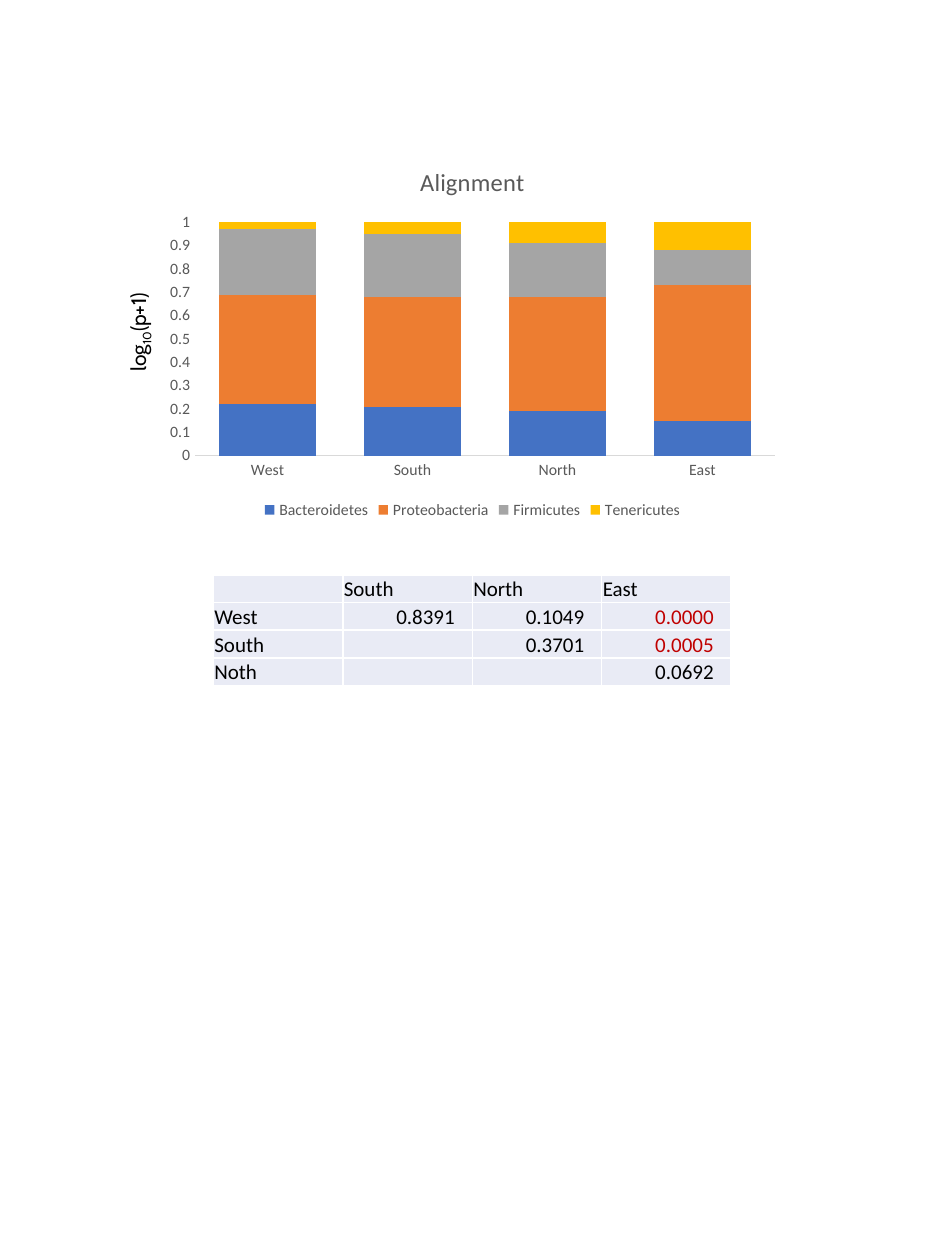
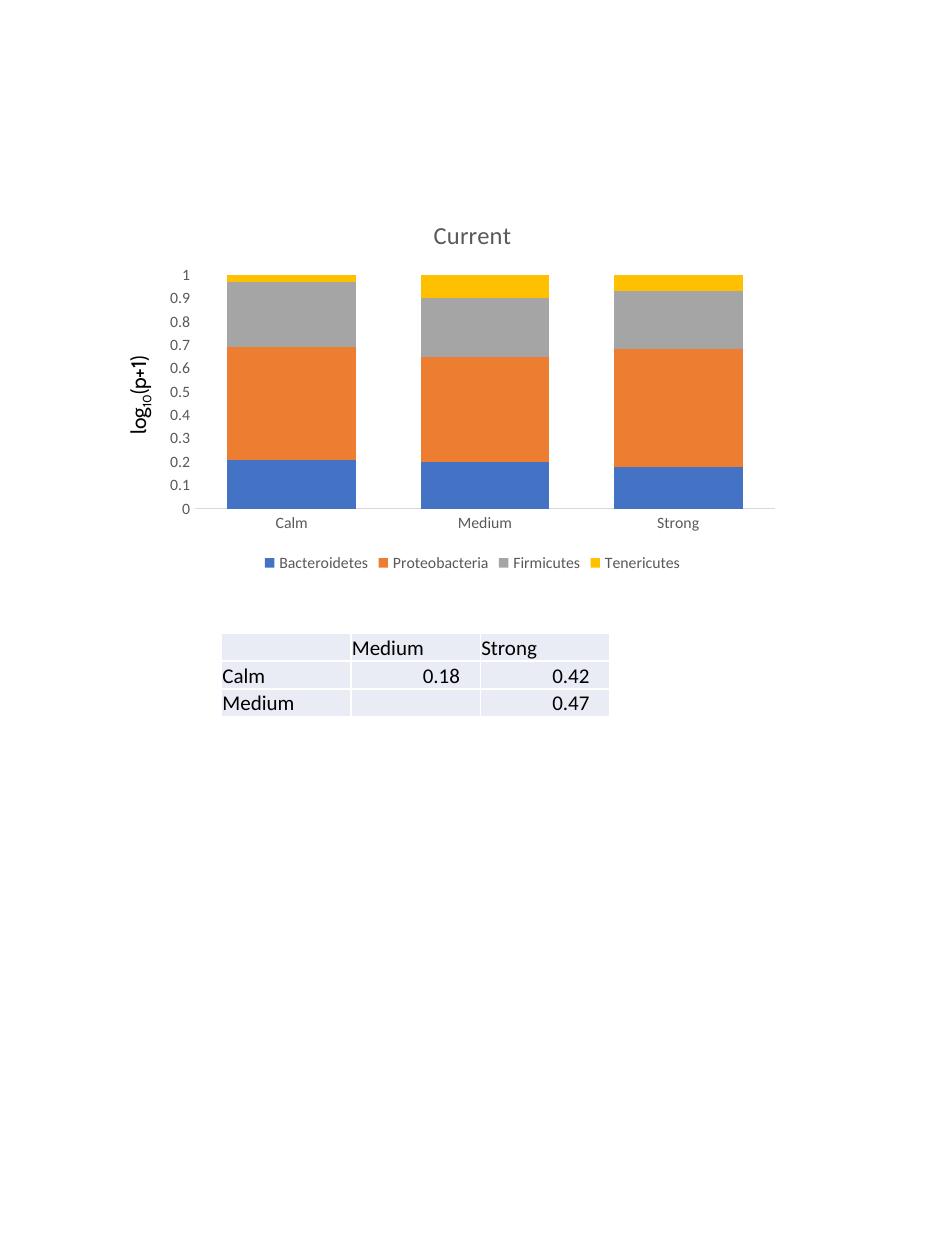
"""Two pages, each with a stacked chart of phyla and a table of p-values."""
import lxml.etree
import pptx
import pptx.chart.data
import pptx.dml.color
import pptx.enum.chart
import pptx.enum.text
import pptx.oxml
import pptx.oxml.ns
import pptx.util

Pt = pptx.util.Pt

FONT = "Calibri"
LABEL_FONT = "Cabin"
BLACK, GREY, AXIS_LINE = "000000", "595959", "D9D9D9"
CELL_FILL, CELL_BORDER, SIGNIFICANT = "E9EBF5", "FFFFFF", "C00000"
SERIES_COLOURS = {
    "Bacteroidetes": "4472C4",
    "Proteobacteria": "ED7D31",
    "Firmicutes": "A5A5A5",
    "Tenericutes": "FFC000",
}
CHART_LEFT, CHART_WIDTH, CHART_HEIGHT = 90, 360, 216
LABEL_LEFT, LABEL_WIDTH, LABEL_HEIGHT = 45.4, 67, 21.8
COLUMN_WIDTH, ROW_HEIGHT = 74, 15.8
SIGNIFICANCE_LEVEL = 0.05

PAGES = [
    {
        "title": "Alignment",
        "categories": ["West", "South", "North", "East"],
        "shares": [[22, 21, 19, 15], [46, 47, 49, 58],
                   [28, 27, 23, 15], [3, 5, 9, 12]],
        "chart_top": 83.5,
        "label_top": 175,
        "table_corner": (121.9, 328.5),
        "number_inset": 10,
        "p_values": [["", "South", "North", "East"],
                     ["West", "0.8391", "0.1049", "0.0000"],
                     ["South", "", "0.3701", "0.0005"],
                     ["Noth", "", "", "0.0692"]],
    },
    {
        "title": "Current",
        "categories": ["Calm", "Medium", "Strong"],
        "shares": [[21, 20, 18], [48, 45, 51], [28, 25, 25], [3, 10, 7]],
        "chart_top": 113.8,
        "label_top": 211,
        "table_corner": (126.5, 362),
        "number_inset": 11.6,
        "p_values": [["", "Medium", "Strong"],
                     ["Calm", "0.18", "0.42"],
                     ["Medium", "", "0.47"]],
    },
]


def colour(value):
    """Turn a hex string into a colour."""
    return pptx.dml.color.RGBColor.from_string(value)


def set_font(font, size, hex_colour, name=FONT):
    """Set the face, size and colour of a font."""
    font.name, font.size = name, Pt(size)
    font.color.rgb = colour(hex_colour)


def add_share_chart(page, box, title, categories, shares):
    """Place a 100 % stacked column chart in the box."""
    chart_data = pptx.chart.data.CategoryChartData()
    chart_data.categories = categories
    for name, values in zip(SERIES_COLOURS, shares):
        chart_data.add_series(name, values)
    kind = pptx.enum.chart.XL_CHART_TYPE.COLUMN_STACKED_100
    chart = page.shapes.add_chart(kind, *map(Pt, box), chart_data).chart
    set_font(chart.font, 10, BLACK)

    chart.has_title = True
    chart.chart_title.include_in_layout = False
    para = chart.chart_title.text_frame.paragraphs[0]
    para.text = title
    set_font(para.font, 14, GREY)
    para.font.bold = False

    chart.has_legend = True
    chart.legend.position = pptx.enum.chart.XL_LEGEND_POSITION.BOTTOM
    chart.legend.include_in_layout = False
    set_font(chart.legend.font, 9, GREY)

    plot = chart.plots[0]
    plot.gap_width, plot.overlap, plot.vary_by_categories = 50, 100, False
    for series, fill in zip(plot.series, SERIES_COLOURS.values()):
        series.format.fill.solid()
        series.format.fill.fore_color.rgb = colour(fill)

    for axis in (chart.category_axis, chart.value_axis):
        axis.has_major_gridlines = False
        axis.major_tick_mark = pptx.enum.chart.XL_TICK_MARK.NONE
        axis.minor_tick_mark = pptx.enum.chart.XL_TICK_MARK.NONE
        set_font(axis.tick_labels.font, 9, GREY)
    chart.category_axis.format.line.color.rgb = colour(AXIS_LINE)
    chart.category_axis.format.line.width = Pt(0.75)
    chart.value_axis.format.line.fill.background()
    chart.value_axis.tick_labels.number_format = "General"
    chart.value_axis.tick_labels.number_format_is_linked = False


def add_axis_label(page, box):
    """Place the upright label of the value axis in the box."""
    label = page.shapes.add_textbox(*map(Pt, box))
    label.rotation = 270
    frame = label.text_frame
    frame.word_wrap = False
    frame.auto_size = pptx.enum.text.MSO_AUTO_SIZE.SHAPE_TO_FIT_TEXT
    para = frame.paragraphs[0]
    set_font(para.font, 12, BLACK, LABEL_FONT)
    for text, baseline in (("log", 0), ("10", -25000), ("(p+1)", 0)):
        span = para.add_run()
        span.text = text
        if baseline:
            span._r.get_or_add_rPr().set("baseline", str(baseline))


def add_borders(cell):
    """Draw a thin line on all four sides of a cell."""
    properties = cell._tc.get_or_add_tcPr()
    for side in ("lnL", "lnR", "lnT", "lnB"):
        line = lxml.etree.SubElement(
            properties, pptx.oxml.ns.qn("a:" + side), w=str(Pt(1)))
        fill = lxml.etree.SubElement(line, pptx.oxml.ns.qn("a:solidFill"))
        lxml.etree.SubElement(
            fill, pptx.oxml.ns.qn("a:srgbClr"), val=CELL_BORDER)


def fill_cell(cell, text, number_inset):
    """Write one cell; numbers go to the right, significant ones in red."""
    add_borders(cell)
    cell.fill.solid()
    cell.fill.fore_color.rgb = colour(CELL_FILL)
    cell.vertical_anchor = pptx.enum.text.MSO_ANCHOR.BOTTOM
    cell.margin_left = cell.margin_right = cell.margin_top = Pt(0.6)
    cell.margin_bottom = 0
    para = cell.text_frame.paragraphs[0]
    para.text = text
    text_colour = BLACK
    if text[:1].isdigit():
        para.alignment = pptx.enum.text.PP_ALIGN.RIGHT
        cell.margin_right = Pt(number_inset)
        if float(text) < SIGNIFICANCE_LEVEL:
            text_colour = SIGNIFICANT
    set_font(para.font, 12, text_colour)


def add_p_table(page, corner, rows, number_inset):
    """Place the table of p-values with its top left at the corner."""
    row_count, column_count = len(rows), len(rows[0])
    size = (column_count * COLUMN_WIDTH, row_count * ROW_HEIGHT)
    table = page.shapes.add_table(
        row_count, column_count, *map(Pt, corner + size)).table
    table.first_row = table.horz_banding = False
    for row, texts in zip(table.rows, rows):
        row.height = Pt(ROW_HEIGHT)
        for cell, text in zip(row.cells, texts):
            fill_cell(cell, text, number_inset)


def add_page(deck, content):
    """Add one page with chart, axis label and table."""
    page = deck.slides.add_slide(deck.slide_layouts[6])
    chart_box = (CHART_LEFT, content["chart_top"], CHART_WIDTH, CHART_HEIGHT)
    add_share_chart(page, chart_box, content["title"],
                    content["categories"], content["shares"])
    add_p_table(page, content["table_corner"], content["p_values"],
                content["number_inset"])
    add_axis_label(page, (LABEL_LEFT, content["label_top"],
                          LABEL_WIDTH, LABEL_HEIGHT))


def main():
    """Build and save the deck."""
    deck = pptx.Presentation()
    deck.slide_width, deck.slide_height = Pt(540), Pt(720)
    for content in PAGES:
        add_page(deck, content)
    deck.save("out.pptx")


main()
